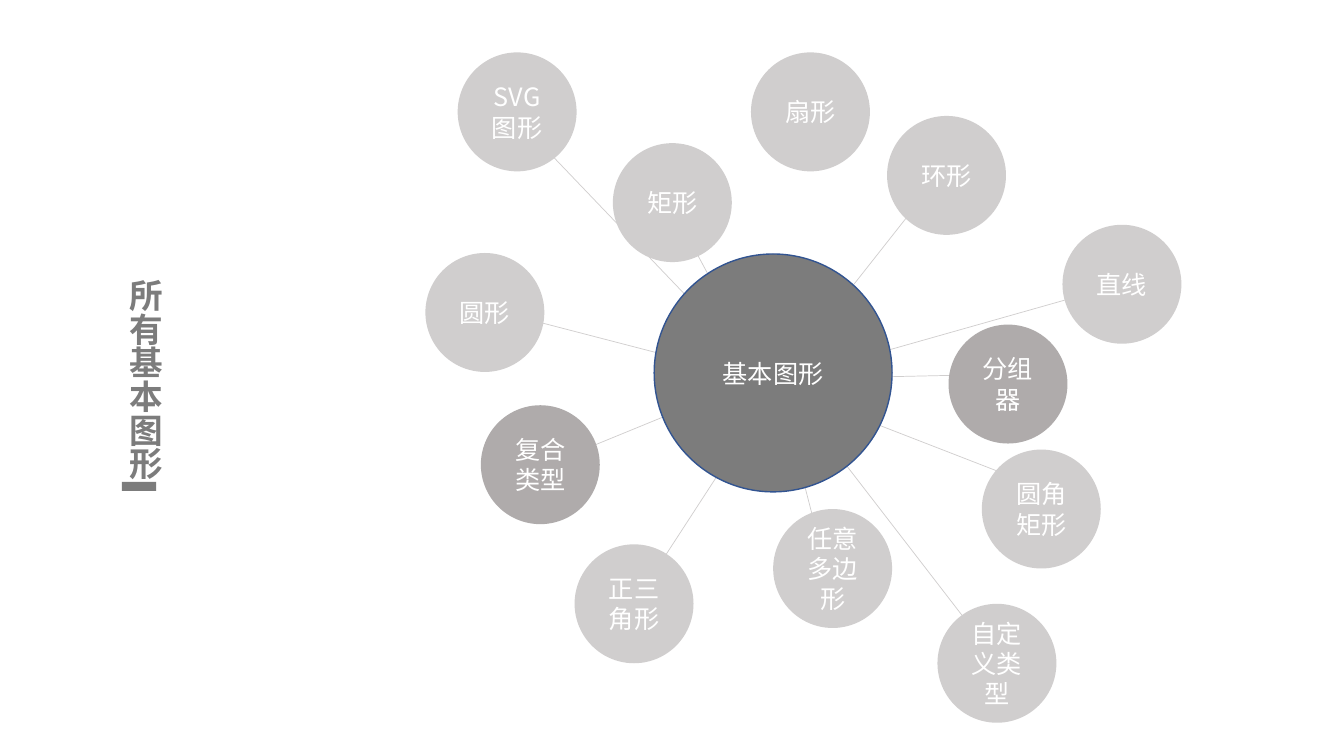
from dataclasses import dataclass
from typing import Optional

from lxml.etree import SubElement
from pptx import Presentation
from pptx.dml.color import RGBColor
from pptx.enum.shapes import MSO_CONNECTOR, MSO_SHAPE
from pptx.enum.text import MSO_ANCHOR, MSO_AUTO_SIZE, PP_ALIGN
from pptx.oxml.ns import qn
from pptx.util import Inches, Length, Pt

# Grid of square cells, ten to the inch
COLS, ROWS = 133.33, 75
FONT = "Noto Sans CJK SC"
COLORS = {
    "dark": "7C7C7C",
    "medium": "AFABAB",
    "light": "D0CECE",
    "outline": "325491",
    "white": "FFFFFF",
}
BUBBLE, HUB = 11.8, 23.6  # diameters in cells

Point = tuple[float, float]


@dataclass
class Circle:
    text: str
    col: float
    row: float
    spoke: Optional[tuple[Point, Point]] = None  # from the bubble to the hub
    fill: str = "light"
    size: float = BUBBLE
    outline: Optional[str] = None


CENTER = Circle("基本图形", 64.9, 25.2, fill="dark", size=HUB, outline="outline")
BUBBLES = [
    Circle("矩形", 60.8, 14.2, ((66.7, 20.6), (75.8, 37.6))),
    Circle("扇形", 74.5, 5.2),
    Circle("圆形", 42.2, 25.1, ((49, 30.8), (75.2, 37.6))),
    Circle("环形", 88, 11.5, ((93, 17.7), (76.2, 39))),
    Circle("任意多边形", 76.7, 50.5, ((82.1, 57), (77.1, 37.6))),
    Circle("正三角形", 57, 54, ((62.9, 59.9), (77.4, 37.6))),
    Circle("复合类型", 47.7, 40.2, ((54, 46.2), (76.7, 36.9)), "medium"),
    Circle("分组器", 94.1, 32.2, ((100.7, 37.1), (77.9, 37.6)), "medium"),
    Circle("圆角矩形", 97.4, 44.6, ((104, 48.7), (76.7, 38.1))),
    Circle("SVG图形", 45.4, 5.2, ((51, 11.5), (75.3, 36.9))),
    Circle("直线", 105.4, 22.3, ((111.2, 28.2), (78, 37.6))),
    Circle("自定义类型", 93, 59.9, ((99.8, 66.7), (77.2, 37.4))),
]


def cells(n: float) -> Length:
    return Inches(n / 10)


def color(name: str) -> RGBColor:
    return RGBColor.from_string(COLORS[name])


def set_text(sp, text: str, size: int, ink: str, bold: bool = False):
    p = sp.text_frame.paragraphs[0]
    p.text = text
    p.font.size = Pt(size)
    p.font.bold = bold
    p.font.color.rgb = color(ink)
    p.font.name = FONT
    SubElement(p._p.pPr.find(qn("a:defRPr")), qn("a:ea"), typeface=FONT)
    return p


def add_filled(shapes, kind: MSO_SHAPE, col: float, row: float,
               width: float, height: float, fill: str):
    sp = shapes.add_shape(kind, *map(cells, (col, row, width, height)))
    sp.shadow.inherit = False
    sp.fill.solid()
    sp.fill.fore_color.rgb = color(fill)
    sp.line.fill.background()
    return sp


def add_circle(shapes, c: Circle) -> None:
    sp = add_filled(shapes, MSO_SHAPE.OVAL, c.col, c.row, c.size, c.size, c.fill)
    if c.outline:
        sp.line.color.rgb = color(c.outline)
        sp.line.width = Pt(1)
    sp.text_frame.word_wrap = True
    sp.text_frame.vertical_anchor = MSO_ANCHOR.MIDDLE
    set_text(sp, c.text, 18, "white").alignment = PP_ALIGN.CENTER


def add_spoke(shapes, start: Point, end: Point) -> None:
    line = shapes.add_connector(MSO_CONNECTOR.STRAIGHT, *map(cells, start + end))
    line.line.color.rgb = color("light")
    line.line.width = Pt(0.5)
    SubElement(line.element.spPr, qn("a:effectLst"))


def add_title(shapes) -> None:
    sp = shapes.add_textbox(*map(cells, (10.8, 26.7, 6.1, 21.2)))
    tf = sp.text_frame
    tf.word_wrap = False
    tf.auto_size = MSO_AUTO_SIZE.SHAPE_TO_FIT_TEXT
    sp.element.txBody.find(qn("a:bodyPr")).set("vert", "eaVert")
    set_text(sp, "所有基本图形", 24, "dark", bold=True)
    add_filled(shapes, MSO_SHAPE.RECTANGLE, 12.1, 47.8, 3.4, 0.9, "dark")


def main() -> None:
    prs = Presentation()
    prs.slide_width, prs.slide_height = cells(COLS), cells(ROWS)
    s = prs.slides.add_slide(prs.slide_layouts[6])

    # Mind map: spokes lie behind the circles
    diagram = s.shapes.add_group_shape().shapes
    for bubble in BUBBLES:
        if bubble.spoke:
            add_spoke(diagram, *bubble.spoke)
    for circle in [CENTER, *BUBBLES]:
        add_circle(diagram, circle)

    # Vertical title with its underline
    add_title(s.shapes)
    prs.save("out.pptx")


if __name__ == "__main__":
    main()
